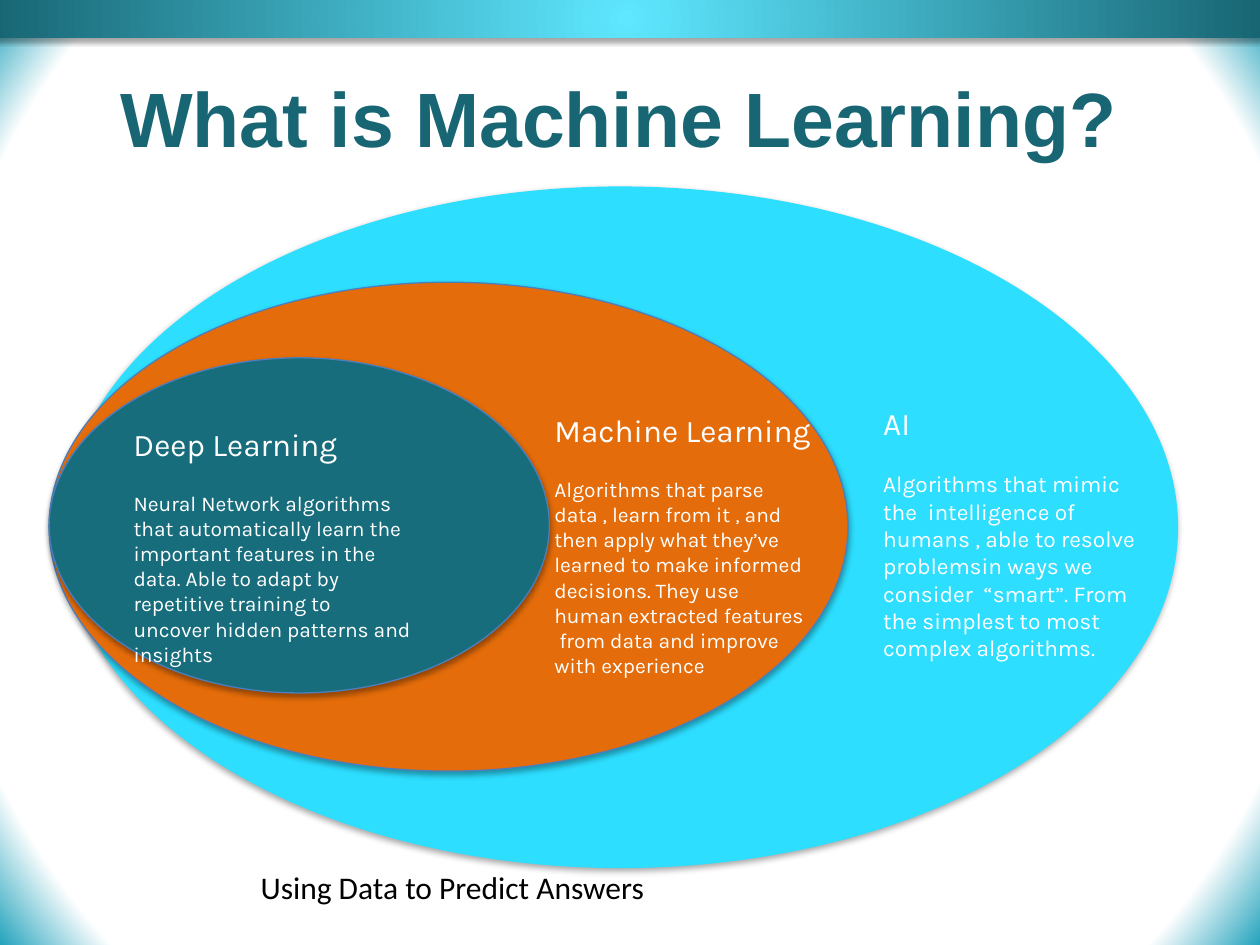
from dataclasses import dataclass

from lxml import etree
from pptx import Presentation, util as u
from pptx.dml.color import RGBColor
from pptx.enum import shapes, text
from pptx.oxml.ns import qn

WIDTH, HEIGHT = 10, 7.5
COLORS = {
    "white": "FFFFFF", "black": "000000", "edge": "23A3BC",
    "bar_light": "5EE7FF", "teal": "186674", "ai": "2DDEFF",
    "ml": "E46C0A", "deep": "186D7D", "outline": "4B7EBC",
}


@dataclass
class Ring:
    box: tuple
    color: str
    outline: bool = True


@dataclass
class Topic:
    left: float
    top: float
    heading: str
    heading_width: float
    body: str
    body_width: float
    body_size: int = 12


RINGS = [
    Ring((0.5, 1.48, 8.85, 5.41), "ai", outline=False),
    Ring((0.39, 2.24, 6.34, 3.88), "ml"),
    Ring((0.39, 2.84, 3.97, 2.66), "deep"),
]
TOPICS = [
    Topic(4.35, 3.24, "Machine Learning", 2.88,
          "Algorithms that parse data , learn from it , and then apply what "
          "they’ve  learned to make informed decisions. They use human "
          "extracted features  from data and improve with experience", 2.1),
    Topic(1.01, 3.35, "Deep Learning", 3.17,
          "Neural Network algorithms that automatically learn the important "
          "features in the data. Able to adapt by repetitive training to "
          "uncover hidden patterns and insights", 2.31),
    Topic(6.96, 3.19, "AI", 2.88,
          "Algorithms that mimic the  intelligence of humans , able to resolve "
          "problemsin ways we consider  “smart”. From the simplest to most "
          "complex algorithms.", 2.1, 13),
]
BODY_OFFSET = 0.52


def rgb(name: str) -> RGBColor:
    return RGBColor.from_string(COLORS[name])


def inches(box: tuple) -> list:
    return [u.Inches(v) for v in box]


def add_child(parent, tag: str, **attrs):
    return etree.SubElement(parent, qn(tag), {k: str(v) for k, v in attrs.items()})


def radial_fill(fill, root, stops: list) -> None:
    """Give the fill inside root a circular gradient of (percent, colour) stops."""
    fill.gradient()
    grad = next(root.iter(qn("a:gradFill")))
    for child in list(grad):
        grad.remove(child)
    stop_list = add_child(grad, "a:gsLst")
    for percent, color in stops:
        stop = add_child(stop_list, "a:gs", pos=percent * 1000)
        add_child(stop, "a:srgbClr", val=COLORS[color])
    circle = add_child(grad, "a:path", path="circle")
    add_child(circle, "a:fillToRect", l=50000, t=50000, r=50000, b=50000)


def add_shadow(sp) -> None:
    sp.shadow.inherit = False
    effects = sp._element.spPr.find(qn("a:effectLst"))
    shadow = add_child(effects, "a:outerShdw", blurRad=u.Pt(3.1), dist=u.Pt(1.8),
                       dir=90 * 60000, rotWithShape=0)
    color = add_child(shadow, "a:srgbClr", val=COLORS["black"])
    add_child(color, "a:alpha", val=35000)


def add_ring(s, ring: Ring) -> None:
    sp = s.shapes.add_shape(shapes.MSO_SHAPE.OVAL, *inches(ring.box))
    sp.fill.solid()
    sp.fill.fore_color.rgb = rgb(ring.color)
    if ring.outline:
        sp.line.color.rgb = rgb("outline")
        sp.line.width = u.Pt(0.75)
    else:
        sp.line.fill.background()
    add_shadow(sp)


def add_text(s, box: tuple, words: str, *, size: int, font: str = "Karla",
             color: str = "white", bold: bool = False, align=text.PP_ALIGN.LEFT,
             anchor=text.MSO_ANCHOR.TOP, wrap: bool = True,
             inset: tuple = (0.1, 0.05)) -> None:
    tf = s.shapes.add_textbox(*inches(box)).text_frame
    tf.word_wrap = wrap
    tf.vertical_anchor = anchor
    tf.margin_left = tf.margin_right = u.Inches(inset[0])
    tf.margin_top = tf.margin_bottom = u.Inches(inset[1])
    p = tf.paragraphs[0]
    p.alignment = align
    r = p.add_run()
    r.text = words
    r.font.name, r.font.size, r.font.bold = font, u.Pt(size), bold
    r.font.color.rgb = rgb(color)


def add_topic(s, topic: Topic) -> None:
    inset = (0.05, 0.02)
    add_text(s, (topic.left, topic.top + BODY_OFFSET, topic.body_width, 0.45),
             topic.body, size=topic.body_size, inset=inset)
    add_text(s, (topic.left, topic.top, topic.heading_width, 0.35),
             topic.heading, size=18, inset=inset)


def main() -> None:
    prs = Presentation()
    prs.slide_width, prs.slide_height = inches((WIDTH, HEIGHT))
    s = prs.slides.add_slide(prs.slide_layouts[6])

    # Background and top bar
    radial_fill(s.background.fill, s._element, [(89, "white"), (100, "edge")])
    bar = s.shapes.add_shape(shapes.MSO_SHAPE.RECTANGLE,
                             *inches((-0.05, 0, WIDTH + 0.05, 0.04 * HEIGHT)))
    radial_fill(bar.fill, bar._element, [(0, "bar_light"), (100, "teal")])
    bar.line.fill.background()
    add_shadow(bar)

    # Title and caption
    add_text(s, (0.05 * WIDTH, 0.3, 0.9 * WIDTH, 1.25), "What is Machine Learning? ",
             size=44, font="Arial", color="teal", bold=True,
             align=text.PP_ALIGN.CENTER, anchor=text.MSO_ANCHOR.MIDDLE)
    add_text(s, (1.97, 6.84, 3.3, 0.4), "Using Data to Predict Answers",
             size=18, font="Calibri", color="black", wrap=False)

    # Nested ellipses and their descriptions
    for ring in RINGS:
        add_ring(s, ring)
    for topic in TOPICS:
        add_topic(s, topic)

    prs.save("out.pptx")


if __name__ == "__main__":
    main()
